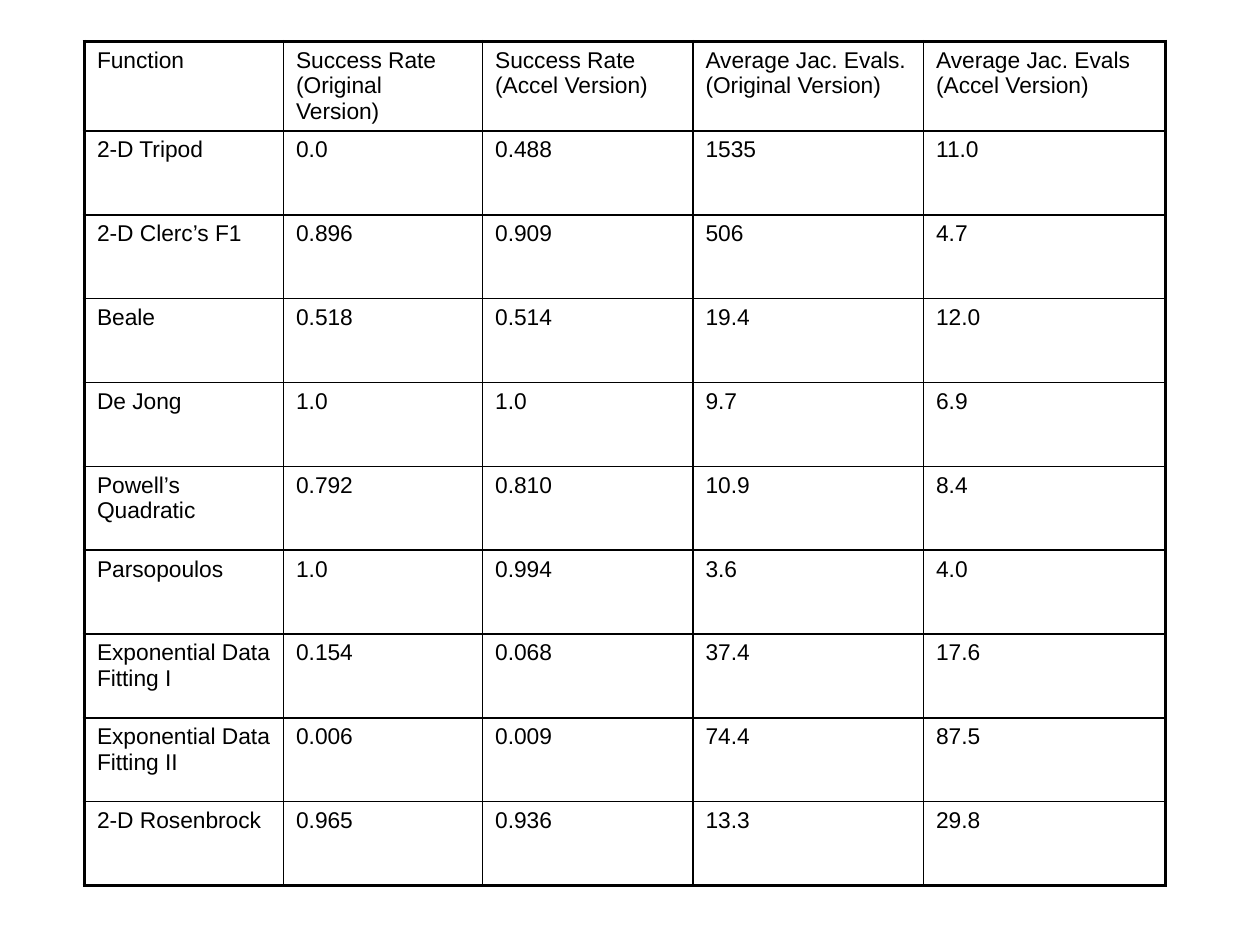
from lxml import etree
from pptx import Presentation
from pptx import util as u
from pptx.dml.color import RGBColor
from pptx.oxml.ns import qn

COLORS = {"ink": "000000", "paper": "FFFFFF"}

HEADINGS = [
    "Function",
    "Success Rate (Original Version)",
    "Success Rate (Accel Version)",
    "Average Jac. Evals. (Original Version)",
    "Average Jac. Evals (Accel Version)",
]
RESULTS = [
    ["2-D Tripod", "0.0", "0.488", "1535", "11.0"],
    ["2-D Clerc’s F1", "0.896", "0.909", "506", "4.7"],
    ["Beale", "0.518", "0.514", "19.4", "12.0"],
    ["De Jong", "1.0", "1.0", "9.7", "6.9"],
    ["Powell’s Quadratic", "0.792", "0.810", "10.9", "8.4"],
    ["Parsopoulos", "1.0", "0.994", "3.6", "4.0"],
    ["Exponential Data Fitting I", "0.154", "0.068", "37.4", "17.6"],
    ["Exponential Data Fitting II", "0.006", "0.009", "74.4", "87.5"],
    ["2-D Rosenbrock", "0.965", "0.936", "13.3", "29.8"],
]
COLUMN_WIDTHS = [1.58, 1.58, 1.67, 1.83, 1.92]
HEADING_HEIGHT, RESULTS_HEIGHT = 0.71, 5.99


class SlideBuilder:
    """Holds the style and the slide being built."""

    font, size = "Arial", u.Pt(13)
    outer_line, inner_line = u.Pt(2.25), u.Pt(1)

    def __init__(self, slide):
        self.slide = slide
        fill = slide.background.fill
        fill.solid()
        fill.fore_color.rgb = RGBColor.from_string(COLORS["paper"])

    def border(self, cell, side, width):
        properties = cell._tc.get_or_add_tcPr()
        line = etree.SubElement(properties, qn(f"a:ln{side}"), w=str(int(width)))
        paint = etree.SubElement(line, qn("a:solidFill"))
        etree.SubElement(paint, qn("a:srgbClr"), val=COLORS["ink"])

    def cell(self, cell, content, outer_sides):
        for side in "LRTB":
            width = self.outer_line if side in outer_sides else self.inner_line
            self.border(cell, side, width)
        cell.fill.background()
        paragraph = cell.text_frame.paragraphs[0]
        # Space before, as a share of the line
        before = etree.SubElement(paragraph._p.get_or_add_pPr(), qn("a:spcBef"))
        etree.SubElement(before, qn("a:spcPct"), val="20000")
        run = paragraph.add_run()
        run.text = content
        run.font.name, run.font.size = self.font, self.size
        run.font.color.rgb = RGBColor.from_string(COLORS["ink"])

    def table(self, rows, left, top, widths, heights):
        last_row, last_column = len(rows) - 1, len(widths) - 1
        table = self.slide.shapes.add_table(
            len(rows), len(widths), u.Inches(left), u.Inches(top),
            u.Inches(sum(widths)), u.Inches(sum(heights))).table
        table.first_row = table.horz_banding = False
        for column, width in zip(table.columns, widths):
            column.width = u.Inches(width)
        for row, height in zip(table.rows, heights):
            row.height = u.Inches(height)
        for r, row in enumerate(rows):
            for c, content in enumerate(row):
                edges = {"L": c == 0, "R": c == last_column,
                         "T": r == 0, "B": r == last_row}
                outer_sides = [side for side, is_outer in edges.items() if is_outer]
                self.cell(table.cell(r, c), content, outer_sides)


def main():
    deck = Presentation()
    deck.slide_width, deck.slide_height = u.Inches(10), u.Inches(7.5)
    builder = SlideBuilder(deck.slides.add_slide(deck.slide_layouts[6]))

    # Comparison of both versions on the test functions
    result_height = RESULTS_HEIGHT / len(RESULTS)
    heights = [HEADING_HEIGHT] + [result_height] * len(RESULTS)
    builder.table([HEADINGS] + RESULTS, 0.67, 0.33, COLUMN_WIDTHS, heights)

    deck.save("out.pptx")


if __name__ == "__main__":
    main()
